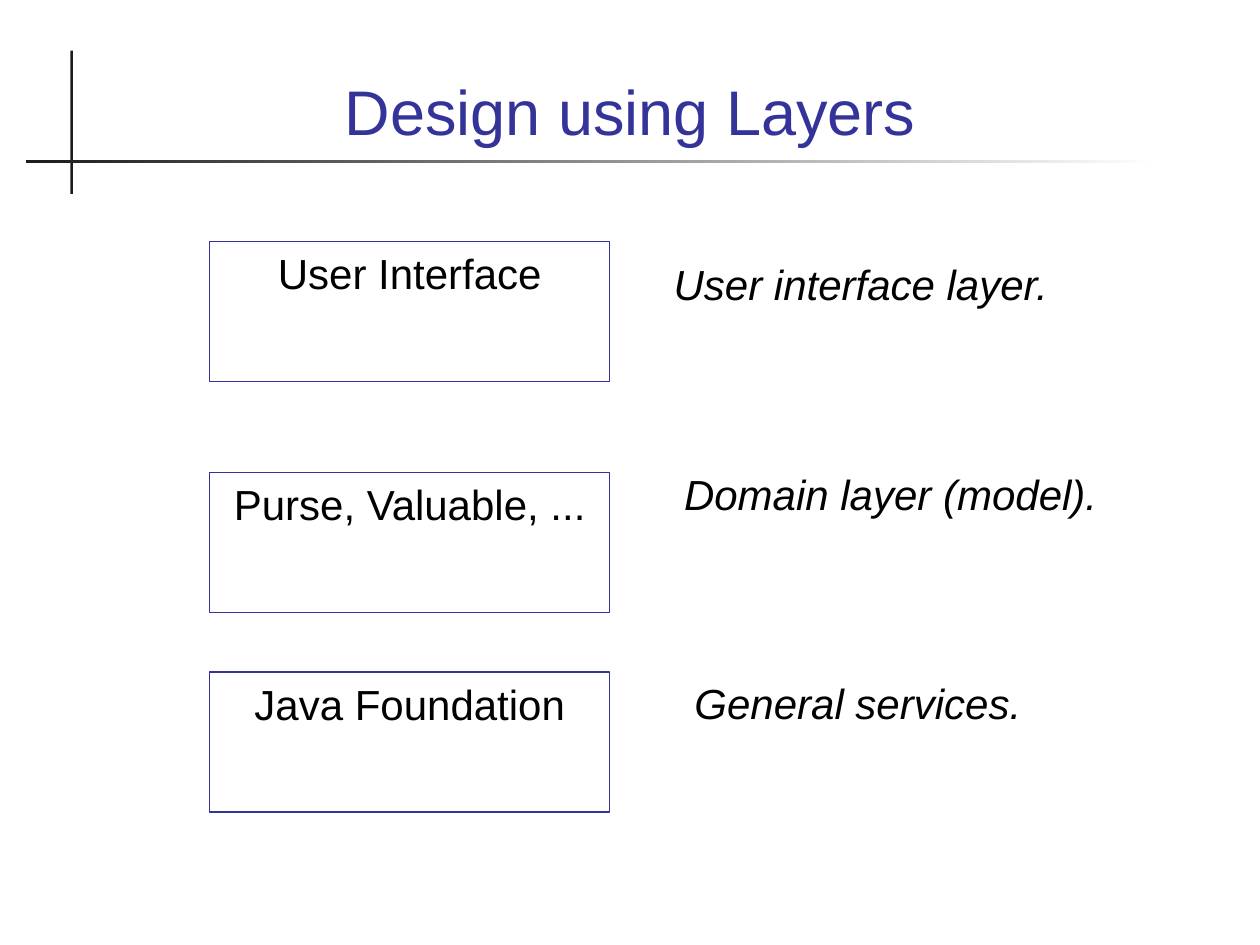
from dataclasses import dataclass

from pptx import Presentation
from pptx.dml.color import RGBColor
from pptx.enum.shapes import MSO_SHAPE as Shape
from pptx.enum.text import MSO_ANCHOR as Anchor, PP_ALIGN as Align
from pptx.util import Cm, Pt


@dataclass(frozen=True)
class Theme:
    accent: RGBColor = RGBColor(0x33, 0x33, 0x99)
    rule: RGBColor = RGBColor(0x1C, 0x1C, 0x1C)
    paper: RGBColor = RGBColor(0xFF, 0xFF, 0xFF)
    ink: RGBColor = RGBColor(0, 0, 0)
    font: str = "Arial"
    title_size: int = 36
    body_size: int = 24
    line_width: float = 0.75


THEME = Theme()

# Box name, box top, caption (lengths in cm)
LAYERS = [
    ("User Interface", 4.87, "User interface layer."),
    ("Purse, Valuable, ...", 9.53, "Domain layer (model)."),
    ("Java Foundation", 13.55, "General services."),
]
BOX_LEFT, BOX_WIDTH, BOX_HEIGHT = 4.23, 8.06, 2.82
CAPTION_LEFT, CAPTION_TOP = 13.33, 5.08
CAPTION_STEP_X, CAPTION_STEP_Y = 0.21, 4.23
CAPTION_WIDTH, CAPTION_HEIGHT = 9.53, 1.27


def write(shape, text, size, color, align, anchor=Anchor.TOP, italic=False):
    frame = shape.text_frame
    frame.word_wrap = True
    frame.vertical_anchor = anchor
    paragraph = frame.paragraphs[0]
    paragraph.alignment = align
    run = paragraph.add_run()
    run.text = text
    run.font.name = THEME.font
    run.font.size = Pt(size)
    run.font.italic = italic
    run.font.color.rgb = color


def add_rectangle(slide, left, top, width, height):
    shape = slide.shapes.add_shape(
        Shape.RECTANGLE, Cm(left), Cm(top), Cm(width), Cm(height))
    shape.shadow.inherit = False
    return shape


def add_text_box(slide, left, top, width, height):
    return slide.shapes.add_textbox(Cm(left), Cm(top), Cm(width), Cm(height))


def add_header(slide, left, top, width, height):
    # Upright rule
    upright = add_rectangle(slide, left + 0.89, top + 0.31, 0.05, 2.89)
    upright.fill.solid()
    upright.fill.fore_color.rgb = THEME.rule
    upright.line.fill.background()

    # Level rule, fading to the right
    level = add_rectangle(slide, left, top + 2.52, width - 0.37, 0.05)
    level.fill.gradient()
    level.fill.gradient_angle = 0
    for stop, color in zip(level.fill.gradient_stops, (THEME.rule, THEME.paper)):
        stop.color.rgb = color
    level.line.fill.background()

    # Title
    title = add_text_box(slide, left + 1.17, top, width - 1.17, height)
    write(title, "Design using Layers", THEME.title_size, THEME.accent,
          Align.CENTER, Anchor.BOTTOM)


def add_layer_box(slide, text, left, top, width, height):
    box = add_rectangle(slide, left, top, width, height)
    box.fill.background()
    box.line.color.rgb = THEME.accent
    box.line.width = Pt(THEME.line_width)
    write(box, text, THEME.body_size, THEME.ink, Align.CENTER)


def add_caption(slide, text, left, top, width, height):
    caption = add_text_box(slide, left, top, width, height)
    write(caption, text, THEME.body_size, THEME.ink, Align.LEFT, italic=True)


def main():
    presentation = Presentation()
    presentation.slide_width, presentation.slide_height = Cm(25.4), Cm(19.05)
    slide = presentation.slides.add_slide(presentation.slide_layouts[6])

    add_header(slide, 0.53, 0.71, 23.17, 2.41)
    for index, (name, top, caption) in enumerate(LAYERS):
        add_layer_box(slide, name, BOX_LEFT, top, BOX_WIDTH, BOX_HEIGHT)
        add_caption(slide, caption,
                    CAPTION_LEFT + index * CAPTION_STEP_X,
                    CAPTION_TOP + index * CAPTION_STEP_Y,
                    CAPTION_WIDTH, CAPTION_HEIGHT)

    presentation.save("out.pptx")


if __name__ == "__main__":
    main()
